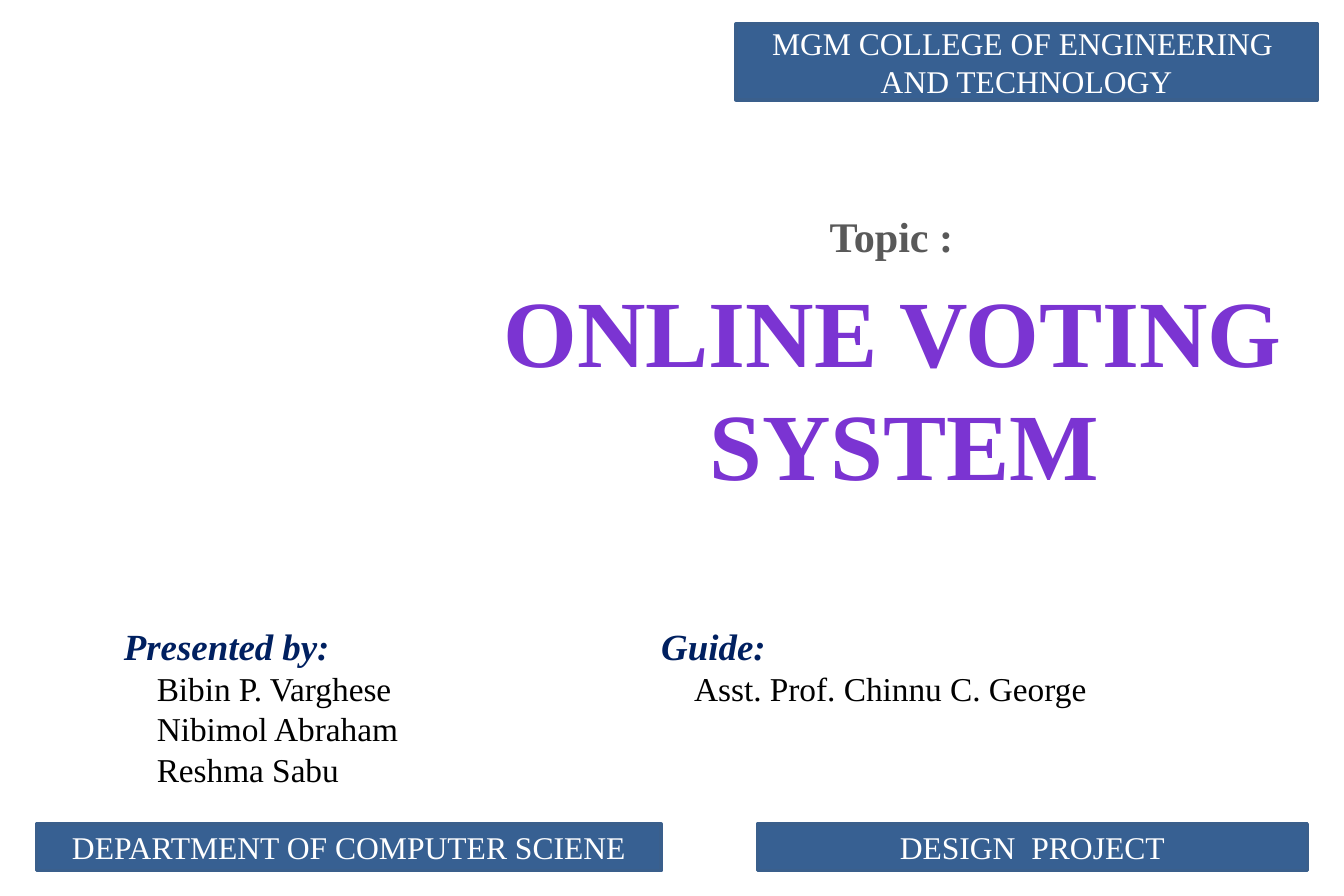
from pptx import Presentation
from pptx import util as u
from pptx.dml.color import RGBColor
from pptx.enum import shapes, text
from pptx.oxml.ns import qn
from lxml import etree

FONT = "Times New Roman"
MID, LEFT = text.PP_ALIGN.CENTER, text.PP_ALIGN.LEFT


def paint(code):
    return RGBColor.from_string(code)


def style(run, size, color, bold=False, italic=False):
    font = run.font
    font.name, font.size = FONT, u.Pt(size)
    font.bold, font.italic = bold, italic
    font.color.rgb = paint(color)


def write(frame, words, size, color, bold=False, italic=False,
          align=LEFT, lead=None, indent=0):
    """Add one paragraph, using the empty first one if it is there."""
    para = frame.paragraphs[0]
    if para.runs:
        para = frame.add_paragraph()
    para.alignment = align
    para.space_before = para.space_after = u.Pt(0)
    if lead:
        para.line_spacing = u.Pt(lead)
    # No bullet, and a plain left indent
    props = para._p.get_or_add_pPr()
    props.set("marL", str(u.Inches(indent)))
    props.set("indent", "0")
    etree.SubElement(props, qn("a:buNone"))
    run = para.add_run()
    run.text = words
    style(run, size, color, bold, italic)
    return para


def place(shape, box):
    shape.left, shape.top, shape.width, shape.height = map(u.Inches, box)
    frame = shape.text_frame
    frame.word_wrap = True
    frame.auto_size = text.MSO_AUTO_SIZE.NONE
    frame.vertical_anchor = text.MSO_ANCHOR.TOP
    return frame


def topic(shape, box, label, lines):
    frame = place(shape, box)
    para = write(frame, label, 24, "595959", bold=True, align=MID, lead=73.5)
    gap = para.add_run()
    gap.text = " "
    style(gap, 60, "000000")
    for line in lines:
        write(frame, line, 54, "7B34D2", bold=True, align=MID, lead=64.5)


def people(shape, box, role, names):
    frame = place(shape, box)
    write(frame, role, 21, "002060", bold=True, italic=True, lead=24)
    for name in names:
        write(frame, name, 19, "000000", lead=23, indent=0.26)


def band(slide, box, lines):
    bar = slide.shapes.add_shape(shapes.MSO_SHAPE.RECTANGLE,
                                 *map(u.Inches, box))
    bar.shadow.inherit = False
    bar.fill.solid()
    bar.fill.fore_color.rgb = paint("376092")
    bar.line.color.rgb = paint("3A5F8C")
    bar.line.width = u.Pt(2)
    frame = bar.text_frame
    frame.word_wrap = True
    frame.vertical_anchor = text.MSO_ANCHOR.MIDDLE
    for line in lines:
        write(frame, line, 18, "FFFFFF", align=MID, lead=21.6)


def main():
    deck = Presentation()
    deck.slide_width, deck.slide_height = u.Inches(10.63), u.Inches(7.09)
    slide = deck.slides.add_slide(deck.slide_layouts[3])
    title, left, right = list(slide.placeholders)[:3]

    # Topic
    topic(title, (3.68, 1.09, 6.95, 2.93), "Topic :",
          ["ONLINE VOTING ", "SYSTEM"])

    # Presenters and guide
    people(left, (0.88, 4.9, 4.1, 1.5), "Presented by:",
           ["Bibin P. Varghese", "Nibimol Abraham", "Reshma Sabu"])
    people(right, (5.13, 4.9, 4.12, 1.5), "Guide:",
           ["Asst. Prof. Chinnu C. George"])

    # Bands
    band(slide, (0.29, 6.52, 4.94, 0.37), ["DEPARTMENT OF COMPUTER SCIENE"])
    band(slide, (5.99, 6.52, 4.35, 0.37), ["DESIGN  PROJECT"])
    band(slide, (5.82, 0.19, 4.6, 0.6),
         ["MGM COLLEGE OF ENGINEERING ", "AND TECHNOLOGY"])

    deck.save("out.pptx")


if __name__ == "__main__":
    main()
